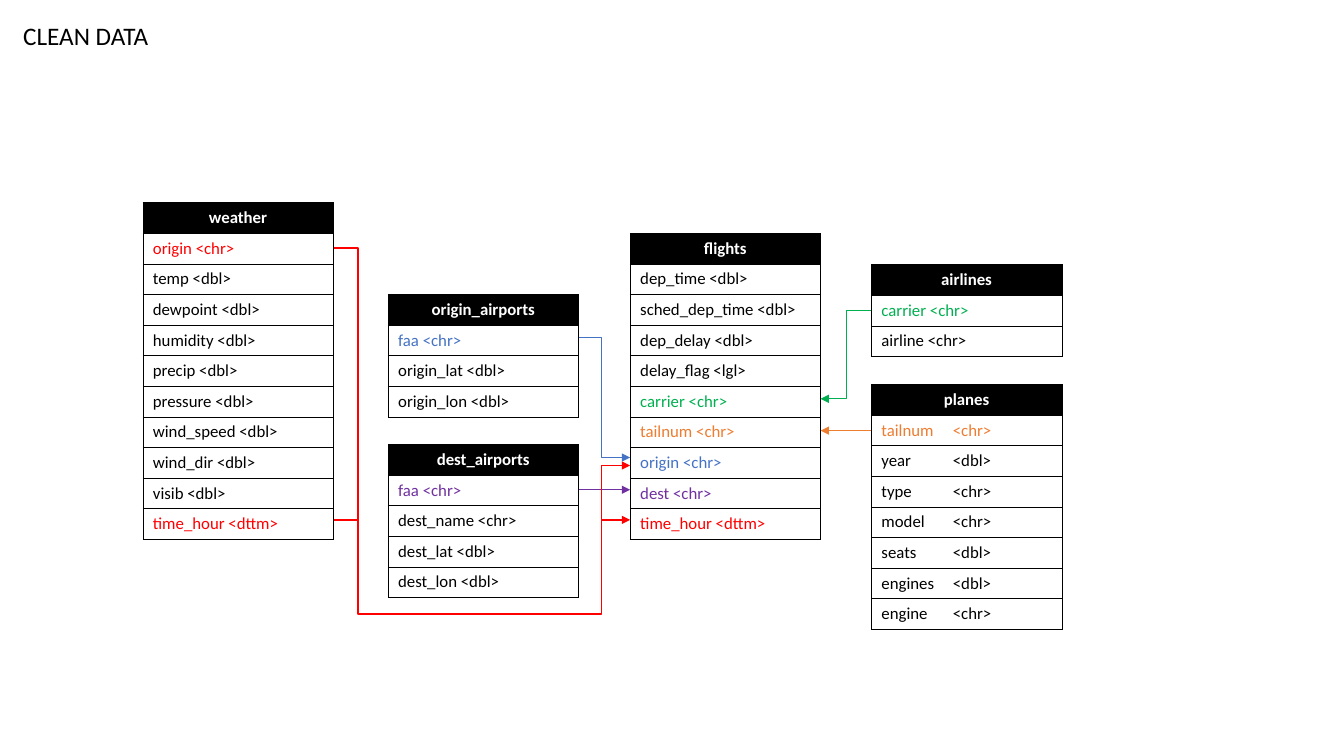
from lxml.etree import SubElement as Sub
from pptx import Presentation
from pptx.dml.color import RGBColor
from pptx.enum.shapes import MSO_CONNECTOR as Conn
from pptx.enum.text import MSO_ANCHOR as Anchor, PP_ALIGN as Align
from pptx.oxml import parse_xml
from pptx.oxml.ns import nsdecls, qn
from pptx.util import Cm, Pt

BLACK, WHITE, RED, BLUE = "000000", "FFFFFF", "FF0000", "4472C4"
GREEN, ORANGE, PURPLE = "00B050", "ED7D31", "7030A0"
WIDTH, ROW = 4.8, 0.77
COLS = {"weather": 3.6, "ports": 9.78, "flights": 15.88, "right": 21.96}
ENDS = {name: left + WIDTH for name, left in COLS.items()}

# Each table: column, top, name, fields, colours of its key fields
TABLES = [
    ("right", 6.67, "airlines", ["carrier <chr>", "airline <chr>"],
     {"carrier": GREEN}),
    ("right", 9.69, "planes",
     ["tailnum\t<chr>", "year\t<dbl>", "type\t<chr>", "model\t<chr>",
      "seats\t<dbl>", "engines\t<dbl>", "engine\t<chr>"],
     {"tailnum": ORANGE}),
    ("flights", 5.88, "flights",
     ["dep_time <dbl>", "sched_dep_time <dbl>", "dep_delay <dbl>",
      "delay_flag <lgl>", "carrier <chr>", "tailnum <chr>",
      "origin <chr>", "dest <chr>", "time_hour <dttm>"],
     {"carrier": GREEN, "tailnum": ORANGE, "origin": BLUE,
      "dest": PURPLE, "time_hour": RED}),
    ("weather", 5.11, "weather",
     ["origin <chr>", "temp <dbl>", "dewpoint <dbl>", "humidity <dbl>",
      "precip <dbl>", "pressure <dbl>", "wind_speed <dbl>",
      "wind_dir <dbl>", "visib <dbl>", "time_hour <dttm>"],
     {"origin": RED, "time_hour": RED}),
    ("ports", 7.42, "origin_airports",
     ["faa <chr>", "origin_lat <dbl>", "origin_lon <dbl>"], {"faa": BLUE}),
    ("ports", 11.2, "dest_airports",
     ["faa <chr>", "dest_name <chr>", "dest_lat <dbl>", "dest_lon <dbl>"],
     {"faa": PURPLE}),
]

# Vertical lanes between the columns, and the level where red lines meet
LANE_A, LANE_B, LANE_C, BASE = 9.02, 15.16, 21.34, 15.47
PORT, GOAL = ENDS["ports"], COLS["flights"]
LINKS = [
    (PURPLE, True, [(PORT, 12.34), (GOAL, 12.34)]),
    (BLUE, True, [(PORT, 8.51), (LANE_B, 8.51), (LANE_B, 11.53),
                  (GOAL, 11.53)]),
    (RED, True, [(LANE_B, BASE), (LANE_B, 11.73), (GOAL, 11.73)]),
    (GREEN, True, [(COLS["right"], 7.82), (LANE_C, 7.82), (LANE_C, 10.05),
                   (ENDS["flights"], 10.05)]),
    (ORANGE, True, [(COLS["right"], 10.85), (ENDS["flights"], 10.85)]),
    (RED, True, [(ENDS["weather"], 13.1), (LANE_A, 13.1), (LANE_A, BASE),
                 (LANE_B, BASE), (LANE_B, 13.1), (GOAL, 13.1)]),
    (RED, False, [(LANE_A, BASE), (LANE_A, 6.25), (ENDS["weather"], 6.25)]),
]


def paint(target, tint):
    """Give a fill a solid colour."""
    target.solid()
    target.fore_color.rgb = RGBColor.from_string(tint)


def write(para, text, size, tint, bold=False):
    """Add one formatted run to a paragraph."""
    run = para.add_run()
    run.text = text
    font = run.font
    font.name, font.size, font.bold = "Calibri", Pt(size), bold
    paint(font.fill, tint)


def frame(cell):
    """Draw thin black borders round a cell."""
    props = cell._tc.get_or_add_tcPr()
    for spot, side in enumerate("LRTB"):
        props.insert(spot, parse_xml(
            f'<a:ln{side} {nsdecls("a")} w="6350"><a:solidFill>'
            f'<a:srgbClr val="{BLACK}"/></a:solidFill></a:ln{side}>'))


def stop(para, place):
    """Set a left tab stop in a paragraph."""
    tabs = Sub(para._p.get_or_add_pPr(), qn("a:tabLst"))
    Sub(tabs, qn("a:tab"), pos=str(Cm(place)), algn="l")


def schema(slide, left, top, name, fields, tints):
    """Draw one data table: its name, then a row for each field."""
    count = len(fields) + 1
    table = slide.shapes.add_table(count, 1, Cm(left), Cm(top), Cm(WIDTH),
                                   Cm(ROW * count)).table
    for index, text in enumerate([name] + fields):
        table.rows[index].height = Cm(ROW)
        cell = table.cell(index, 0)
        para = cell.text_frame.paragraphs[0]
        head = index == 0
        paint(cell.fill, BLACK if head else WHITE)
        frame(cell)
        if head:
            para.alignment = Align.CENTER
            write(para, text, 12, WHITE, True)
        else:
            if "\t" in text:
                stop(para, 1.8)
            write(para, text, 12, tints.get(text.split()[0], BLACK))


def link(slide, tint, arrow, points):
    """Join two fields by a straight or bent line."""
    spots = [(Cm(x), Cm(y)) for x, y in points]
    if len(spots) == 2:
        line = slide.shapes.add_connector(Conn.STRAIGHT, *spots[0], *spots[1])
    else:
        path = slide.shapes.build_freeform(*spots[0])
        path.add_line_segments(spots[1:], close=False)
        line = path.convert_to_shape()
        line.fill.background()
    line.line.width = Pt(1)
    paint(line.line.fill, tint)
    if arrow:
        Sub(line.line._get_or_add_ln(), qn("a:tailEnd"), type="triangle")
    Sub(line._element.spPr, qn("a:effectLst"))


def title(slide, left, top, width, height):
    """Place the slide title."""
    box = slide.shapes.title
    box.left, box.top = Cm(left), Cm(top)
    box.width, box.height = Cm(width), Cm(height)
    text = box.text_frame
    text.word_wrap, text.vertical_anchor = False, Anchor.TOP
    para = text.paragraphs[0]
    para.alignment = Align.LEFT
    write(para, "CLEAN DATA", 18, BLACK)


def main():
    """Build the slide and save it."""
    deck = Presentation()
    deck.slide_width, deck.slide_height = Cm(33.87), Cm(19.05)
    slide = deck.slides.add_slide(deck.slide_layouts[5])
    title(slide, 0.33, 0.38, 3.84, 1.02)
    for item in LINKS:
        link(slide, *item)
    for col, *rest in TABLES:
        schema(slide, COLS[col], *rest)
    deck.save("out.pptx")


main()
